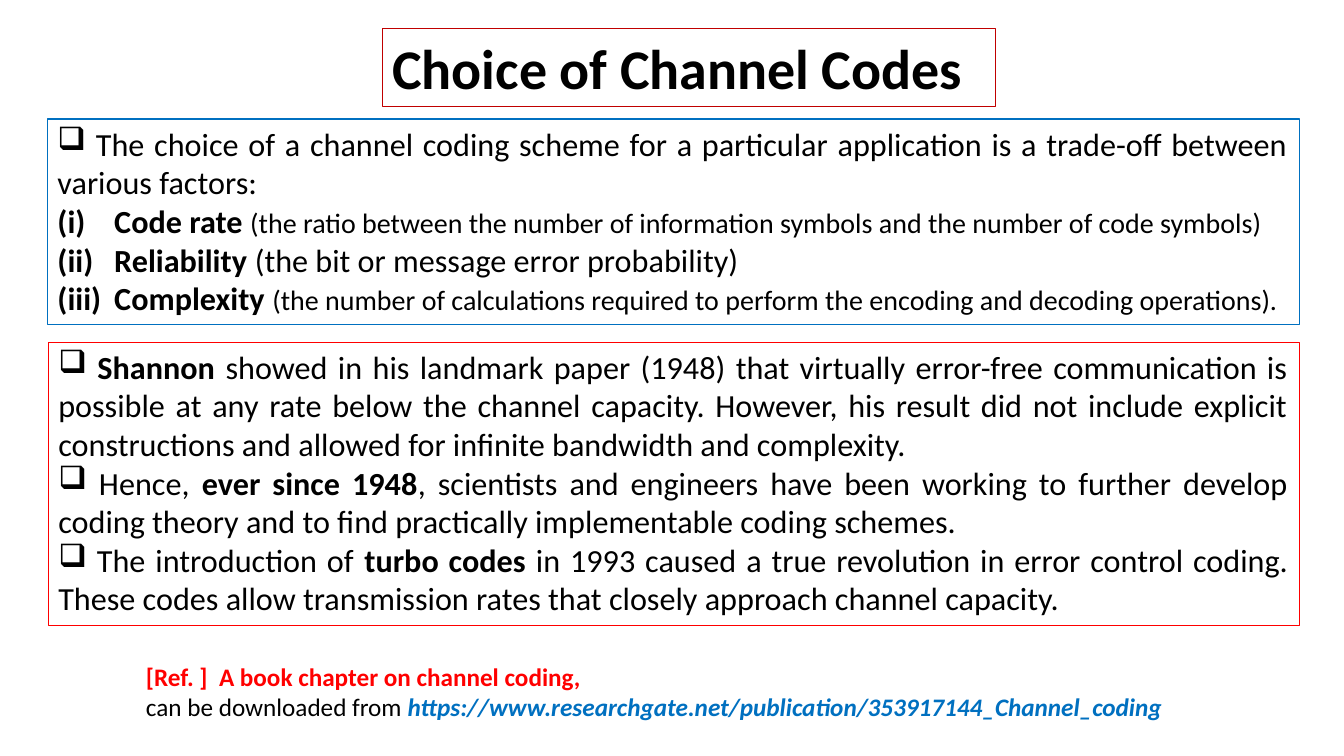
from lxml import etree
from pptx import Presentation
from pptx.dml.color import RGBColor
from pptx.enum.text import MSO_ANCHOR, MSO_AUTO_SIZE, PP_ALIGN
from pptx.oxml.ns import qn
from pptx.util import Cm, Pt

BLACK = RGBColor(0x00, 0x00, 0x00)
RED = RGBColor(0xFF, 0x00, 0x00)
DARK_RED = RGBColor(0xC0, 0x00, 0x00)
BLUE = RGBColor(0x00, 0x70, 0xC0)
FONT = "Calibri"
BODY_SIZE, DETAIL_SIZE = 23, 20

INTRO = ("The choice of a channel coding scheme for a particular application "
         "is a trade-off between various factors:")
FACTORS = [
    ("Code rate", "(the ratio between the number of information symbols "
     "and the number of code symbols)", DETAIL_SIZE),
    ("Reliability", "(the bit or message error probability)", BODY_SIZE),
    ("Complexity", "(the number of calculations required to perform the "
     "encoding and decoding operations).", DETAIL_SIZE),
]
# Each statement: text before, bold phrase, text after
HISTORY = [
    ("", "Shannon", " showed in his landmark paper (1948) that virtually "
     "error-free communication is possible at any rate below the channel "
     "capacity. However, his result did not include explicit constructions "
     "and allowed for infinite bandwidth and complexity."),
    ("Hence, ", "ever since 1948", ", scientists and engineers have been "
     "working to further develop coding theory and to find practically "
     "implementable coding schemes."),
    ("The introduction of ", "turbo codes", " in 1993 caused a true "
     "revolution in error control coding. These codes allow transmission "
     "rates that closely approach channel capacity."),
]


def set_outline(shape, color):
    shape.line.color.rgb = color
    shape.line.width = Pt(0.75)


def set_font(paragraph, size, color=BLACK):
    font = paragraph.font
    font.name, font.size, font.color.rgb = FONT, Pt(size), color


def add_run(paragraph, text, bold=False):
    run = paragraph.add_run()
    run.text = text
    run.font.bold = bold
    return run


def add_paragraph(frame):
    """Return the frame's empty first paragraph, or a new one after it."""
    first = frame.paragraphs[0]
    return frame.add_paragraph() if first.runs else first


def add_bullet(paragraph, tag, indent=0, **attributes):
    """Give a justified paragraph a bullet element with a hanging indent."""
    paragraph.alignment = PP_ALIGN.JUSTIFY
    properties = paragraph._p.get_or_add_pPr()
    properties.set("marL", str(indent))
    properties.set("indent", str(-indent))
    etree.SubElement(properties, qn(tag), attributes)
    set_font(paragraph, BODY_SIZE)


def add_statement(frame, before, phrase="", after=""):
    statement = add_paragraph(frame)
    add_bullet(statement, "a:buChar", char="❑")
    add_run(statement, " " + before)
    if phrase:
        add_run(statement, phrase, bold=True)
        add_run(statement, after)


def add_text_box(slide, box, outline=None):
    text_box = slide.shapes.add_textbox(*box)
    text_box.text_frame.word_wrap = True
    if outline is not None:
        set_outline(text_box, outline)
    return text_box.text_frame


def place_title(slide, box):
    title = slide.shapes.title
    title.left, title.top, title.width, title.height = box
    set_outline(title, DARK_RED)
    frame = title.text_frame
    frame.auto_size = MSO_AUTO_SIZE.NONE
    frame.vertical_anchor = MSO_ANCHOR.TOP
    heading = frame.paragraphs[0]
    heading.alignment = PP_ALIGN.LEFT
    set_font(heading, 40)
    add_run(heading, "Choice of Channel Codes", bold=True)


def add_factors(slide, box):
    frame = add_text_box(slide, box, BLUE)
    add_statement(frame, INTRO)
    for name, meaning, size in FACTORS:
        factor = add_paragraph(frame)
        add_bullet(factor, "a:buAutoNum", Cm(1.43), type="romanLcParenBoth")
        add_run(factor, name + " ", bold=True)
        add_run(factor, meaning).font.size = Pt(size)


def add_history(slide, box):
    frame = add_text_box(slide, box, RED)
    for statement in HISTORY:
        add_statement(frame, *statement)


def add_reference(slide, box):
    frame = add_text_box(slide, box)
    chapter = add_paragraph(frame)
    set_font(chapter, 18, RED)
    add_run(chapter, "[Ref. ]  A book chapter on channel coding,", bold=True)
    source = add_paragraph(frame)
    set_font(source, 18)
    add_run(source, "can be downloaded from ")
    address = add_run(
        source,
        "https://www.researchgate.net/publication/353917144_Channel_coding",
        bold=True)
    address.font.italic = True
    address.font.color.rgb = BLUE


def main():
    presentation = Presentation()
    presentation.slide_width, presentation.slide_height = Cm(33.87), Cm(19.05)
    slide = presentation.slides.add_slide(presentation.slide_layouts[5])
    place_title(slide, (Cm(9.63), Cm(0.71), Cm(15.47), Cm(1.97)))
    add_factors(slide, (Cm(1.2), Cm(3), Cm(31.55), Cm(5.18)))
    add_history(slide, (Cm(1.22), Cm(8.62), Cm(31.53), Cm(7.14)))
    add_reference(slide, (Cm(3.43), Cm(16.54), Cm(26.37), Cm(1.8)))
    presentation.save("out.pptx")


if __name__ == "__main__":
    main()
